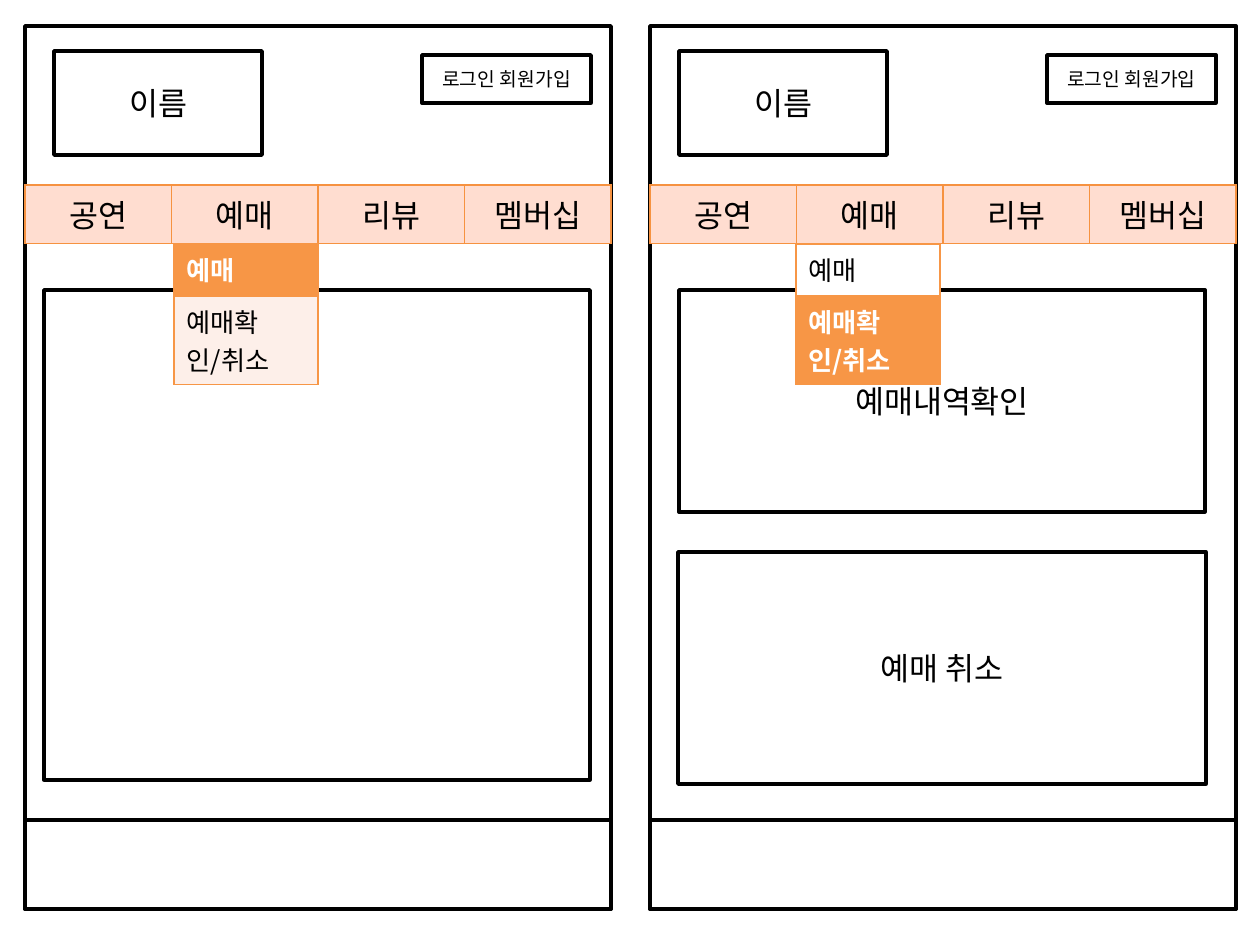
from lxml import etree
from pptx import Presentation
from pptx import util as u
from pptx.dml.color import RGBColor
from pptx.enum import shapes, text
from pptx.oxml.ns import qn

BLACK = RGBColor(0x00, 0x00, 0x00)
WHITE = RGBColor(0xFF, 0xFF, 0xFF)
PEACH = RGBColor(0xFF, 0xDD, 0xD0)
CREAM = RGBColor(0xFD, 0xEF, 0xE9)
ORANGE = RGBColor(0xF7, 0x96, 0x46)
AMBER = RGBColor(0xF6, 0x92, 0x40)
TABS = ["공연", "예매", "리뷰", "멤버십"]
ITEMS = ["예매", "예매확인/취소"]


def px(n):
    return u.Emu(round(n * 914400 / 126))


class Wire:
    """Draws wireframe parts on the current slide in one style."""

    face = "Noto Sans CJK KR"

    def __init__(self, slide):
        self.slide = slide

    def label(self, frame, words, size, color=BLACK, bold=False, align=text.PP_ALIGN.CENTER):
        para = frame.paragraphs[0]
        para.alignment = align
        run = para.add_run()
        run.text = words
        form = {"name": self.face, "size": u.Pt(size), "bold": bold}
        for key, val in form.items():
            setattr(run.font, key, val)
        run.font.color.rgb = color
        east = etree.SubElement(run.font._element, qn("a:ea"))
        east.set("typeface", self.face)

    def box(self, x, y, w, h, words="", size=18):
        box = self.slide.shapes.add_shape(shapes.MSO_SHAPE.RECTANGLE, *map(px, (x, y, w, h)))
        box.shadow.inherit = False
        box.fill.solid()
        box.fill.fore_color.rgb = WHITE
        box.line.color.rgb = BLACK
        box.line.width = u.Pt(2)
        frame = box.text_frame
        frame.word_wrap = True
        frame.vertical_anchor = text.MSO_ANCHOR.MIDDLE
        if words:
            self.label(frame, words, size)

    def grid(self, x, y, w, h, rows, cols):
        grid = self.slide.shapes.add_table(rows, cols, *map(px, (x, y, w, h))).table
        grid.first_row = grid.horz_banding = False
        return grid

    def paint(self, cell, fill, edge, width):
        cell.fill.solid()
        cell.fill.fore_color.rgb = fill
        props = cell._tc.get_or_add_tcPr()
        for i, side in enumerate(("lnL", "lnR", "lnT", "lnB")):
            line = etree.Element(qn("a:" + side), w=str(u.Pt(width)))
            solid = etree.SubElement(line, qn("a:solidFill"))
            etree.SubElement(solid, qn("a:srgbClr"), val=str(edge))
            props.insert(i, line)

    def nav(self, x, y, w, h):
        grid = self.grid(x, y, w, h, 1, len(TABS))
        for cell, words in zip(grid.iter_cells(), TABS):
            self.paint(cell, PEACH, AMBER, 0.75)
            self.label(cell.text_frame, words, 18)

    def menu(self, x, y, w, h, chosen, rest):
        grid = self.grid(x, y, w, h, len(ITEMS), 1)
        for i, (cell, words) in enumerate(zip(grid.iter_cells(), ITEMS)):
            on = i == chosen
            self.paint(cell, ORANGE if on else rest, ORANGE, 1)
            self.label(cell.text_frame, words, 15, WHITE if on else BLACK, on, text.PP_ALIGN.LEFT)

    def page(self, x):
        self.box(x, 26, 586, 883)
        self.box(x + 29, 51, 208, 104, "이름")
        self.box(x, 820, 586, 89)
        self.box(x + 397, 55, 169, 48, "로그인 회원가입", 11)
        self.nav(x, 185, 586, 58)


def main():
    deck = Presentation()
    deck.slide_width, deck.slide_height = px(1260), px(945)
    wire = Wire(deck.slides.add_slide(deck.slide_layouts[6]))
    for left in (25, 650):
        wire.page(left)
    wire.box(44, 290, 546, 490)
    wire.menu(174, 244, 144, 104, 0, CREAM)
    wire.box(679, 290, 526, 222, "예매내역확인")
    wire.menu(796, 244, 144, 104, 1, WHITE)
    wire.box(678, 552, 528, 232, "예매 취소")
    deck.save("out.pptx")


if __name__ == "__main__":
    main()
